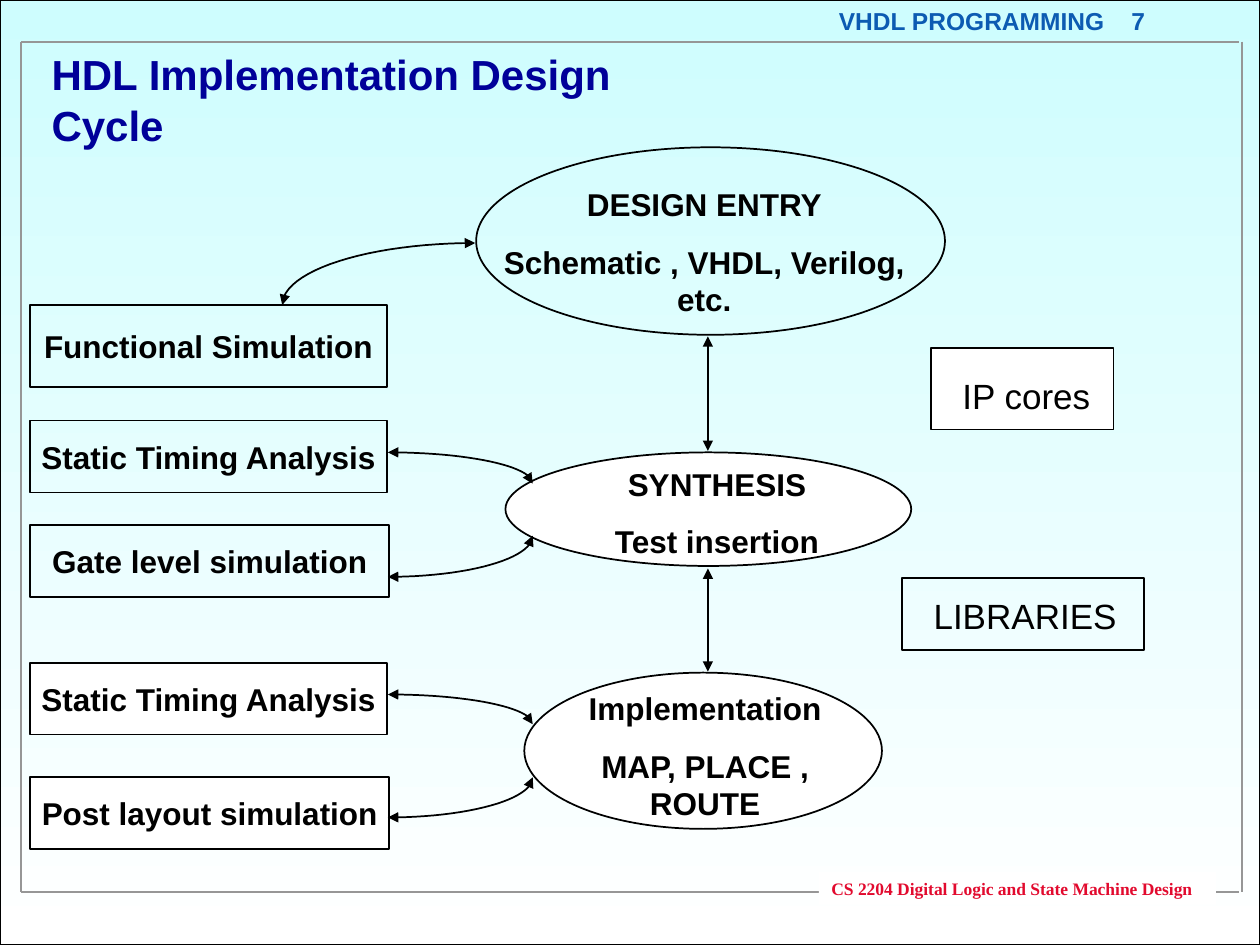
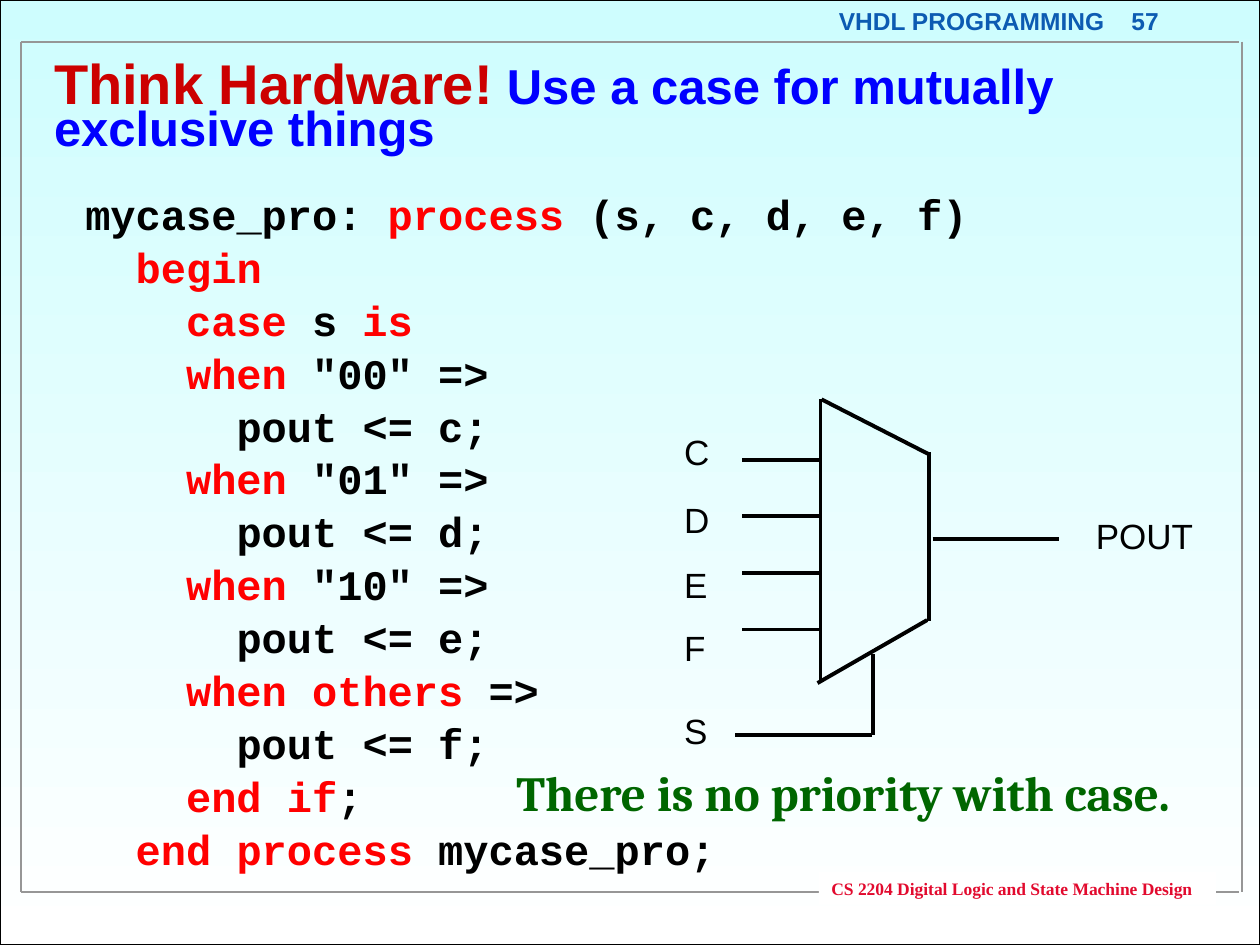
from math import cos, pi, sin

from lxml import etree
from pptx import Presentation
from pptx.dml.color import RGBColor
from pptx.enum.shapes import MSO_CONNECTOR, MSO_SHAPE
from pptx.enum.text import MSO_ANCHOR, PP_ALIGN
from pptx.oxml.ns import qn
from pptx.util import Cm, Pt

RECT, OVAL = MSO_SHAPE.RECTANGLE, MSO_SHAPE.OVAL
STRAIGHT = MSO_CONNECTOR.STRAIGHT
LEFT, CENTER = PP_ALIGN.LEFT, PP_ALIGN.CENTER
TOP, MIDDLE = MSO_ANCHOR.TOP, MSO_ANCHOR.MIDDLE

BLACK, WHITE, GREY = "000000", "FFFFFF", "969696"
SKY, STEEL, CRIMSON = "CEFDFE", "0C5BB2", "E20A2E"
NAVY, BLUE, BRICK = "000099", "0000FF", "CC0000"
RED, GREEN = "FF0000", "006600"

WIDTH, HEIGHT = 25.4, 19.05
STEPS = 24

CODE = """mycase_pro: |process| (s, c, d, e, f)
  |begin
    |case| s |is
    |when| "00" =>
      pout <= c;
    |when| "01" =>
      pout <= d;
    |when| "10" =>
      pout <= e;
    |when others| =>
      pout <= f;
    |end if|;
  |end process| mycase_pro;"""


def tint(code):
    return RGBColor.from_string(code)


def write(shape, text, size=18, font="Arial", color=BLACK, bold=True,
          align=LEFT, anchor=TOP, wrap=True, gap=0, pitch=None, tab=None,
          alt=None):
    """Fill a shape with text; pieces after each odd "|" take alt (size, color)."""
    frame = shape.text_frame
    frame.word_wrap = wrap
    frame.vertical_anchor = anchor
    styles = [(size, color), alt]
    for i, line in enumerate(text.split("\n")):
        para = frame.add_paragraph() if i else frame.paragraphs[0]
        para.alignment = align
        para.line_spacing = pitch
        if i and gap:
            para.space_before = Pt(gap)
        if tab:
            tabs = etree.SubElement(para._p.get_or_add_pPr(), qn("a:tabLst"))
            etree.SubElement(tabs, qn("a:tab"), pos=str(Cm(tab)), algn="l")
        for j, piece in enumerate(line.split("|")):
            if piece:
                run = para.add_run()
                run.text = piece
                points, shade = styles[j % 2]
                run.font.size = Pt(points)
                run.font.name = font
                run.font.bold = bold
                run.font.color.rgb = tint(shade)


def label(slide, text, x, y, w, h, **style):
    write(slide.shapes.add_textbox(Cm(x), Cm(y), Cm(w), Cm(h)), text, **style)


def shape(slide, kind, x, y, w, h, fill=None, line=BLACK):
    item = slide.shapes.add_shape(kind, Cm(x), Cm(y), Cm(w), Cm(h))
    item.shadow.inherit = False
    if fill:
        item.fill.solid()
        item.fill.fore_color.rgb = tint(fill)
    else:
        item.fill.background()
    if line:
        stroke(item, line)
    else:
        item.line.fill.background()
    return item


def stroke(item, color=BLACK, width=1, heads=False):
    item.line.color.rgb = tint(color)
    item.line.width = Pt(width)
    if heads:
        ln = item._element.spPr.find(qn("a:ln"))
        for end in ("a:headEnd", "a:tailEnd"):
            etree.SubElement(ln, qn(end), type="triangle")


def rule(slide, x1, y1, x2, y2, **style):
    line = slide.shapes.add_connector(STRAIGHT, Cm(x1), Cm(y1), Cm(x2), Cm(y2))
    stroke(line, **style)
    etree.SubElement(line._element.spPr, qn("a:effectLst"))


def curve(slide, x1, y1, x2, y2):
    """Quarter ellipse with two heads, level at the first end, upright at the second."""
    turns = [pi / 2 * i / STEPS for i in range(STEPS + 1)]
    points = [(Cm(x1 + (x2 - x1) * sin(t)), Cm(y2 + (y1 - y2) * cos(t)))
              for t in turns]
    pen = slide.shapes.build_freeform(*points[0])
    pen.add_line_segments(points[1:], close=False)
    arc = pen.convert_to_shape()
    arc.shadow.inherit = False
    arc.fill.background()
    stroke(arc, heads=True)


def base(deck, number):
    """Add a slide with the shared backdrop, border, header and footer."""
    slide = deck.slides.add_slide(deck.slide_layouts[6])
    back = shape(slide, RECT, 0, 0, WIDTH, HEIGHT)
    back.fill.gradient()
    back.fill.gradient_angle = 270
    for stop, color in zip(back.fill.gradient_stops, (SKY, WHITE)):
        stop.color.rgb = tint(color)
    for ends in ((0.43, 17.98, 24.97, 17.98), (0.43, 0.84, 0.43, 17.98),
                 (0.43, 0.84, 24.97, 0.84), (25.03, 0.84, 25.03, 17.98)):
        rule(slide, *ends, color=GREY)
    label(slide, f"VHDL PROGRAMMING\t{number}", 16.66, 0, 8.7, 0.84,
          size=14, color=STEEL, tab=5.9)
    foot = shape(slide, RECT, 16.51, 17.58, 8, 0.66, fill=WHITE, line=None)
    write(foot, "CS 2204 Digital Logic and State Machine Design",
          size=10, font="Times New Roman", color=CRIMSON)
    return slide


def cycle(deck):
    slide = base(deck, 7)
    label(slide, "HDL Implementation Design Cycle", 0.79, 0.86, 13.87, 2.29,
          size=24, color=NAVY)

    stages = (
        ("DESIGN ENTRY\nSchematic , VHDL, Verilog, etc.", None,
         (9.6, 2.97, 9.45, 3.78), (9.78, 3.61, 8.84, 2.92)),
        ("SYNTHESIS\nTest insertion", WHITE,
         (10.19, 9.12, 8.18, 2.29), (11.23, 9.25, 6.45, 2.16)),
        ("Implementation\nMAP, PLACE , ROUTE", WHITE,
         (10.57, 13.56, 7.21, 3.15), (10.8, 13.77, 6.83, 2.92)),
    )
    for text, fill, oval, area in stages:
        shape(slide, OVAL, *oval, fill=fill)
        label(slide, text, *area, align=CENTER, gap=11.2)

    checks = (
        ("Functional Simulation", 6.15, 7.19, 1.65, None),
        ("Static Timing Analysis", 8.48, 7.19, 1.45, None),
        ("Gate level simulation", 10.59, 7.24, 1.45, None),
        ("Static Timing Analysis", 13.36, 7.19, 1.45, WHITE),
        ("Post layout simulation", 15.67, 7.24, 1.45, WHITE),
    )
    for text, y, w, h, fill in checks:
        write(shape(slide, RECT, 0.61, y, w, h, fill=fill), text,
              align=CENTER, anchor=MIDDLE, wrap=False)

    inputs = (
        ("IP cores", WHITE, (18.77, 7.01, 3.68, 1.65), (19.15, 7.42, 3.51, 1.09)),
        ("LIBRARIES", None, (18.19, 11.66, 4.88, 1.45), (18.57, 11.86, 4.29, 1.09)),
    )
    for text, fill, frame, area in inputs:
        shape(slide, RECT, *frame, fill=fill)
        label(slide, text, *area, size=20, bold=False)

    for y1, y2 in ((6.78, 9.09), (11.46, 13.54)):
        rule(slide, 14.27, y1, 14.27, y2, heads=True)
    curve(slide, 9.58, 4.9, 5.69, 6.15)
    for y1, y2 in ((9.12, 9.75), (11.63, 10.8), (14, 14.6), (16.48, 15.67)):
        curve(slide, 7.82, y1, 10.74, y2)


def mux(slide):
    edges = [(16.54, 8.05, 16.54, 13.72), (16.56, 8.05, 18.75, 9.17),
             (16.48, 13.77, 18.69, 12.5), (18.72, 9.12, 18.72, 12.52)]
    pins = [(14.96, 9.27 + 1.14 * i, 16.51, 9.27 + 1.14 * i) for i in range(4)]
    wires = [(17.6, 13.18, 17.6, 14.81), (17.58, 14.81, 14.81, 14.81),
             (18.8, 10.87, 21.34, 10.87)]
    for ends in edges + pins + wires:
        rule(slide, *ends, width=2.25)
    names = [("C", 8.56), ("D", 9.93), ("E", 11.23), ("F", 12.5), ("S", 14.17)]
    for name, y in names:
        label(slide, name, 13.54, y, 1.2, 1.09, size=20, bold=False)
    label(slide, "POUT", 21.84, 10.24, 3, 1.09, size=20, bold=False)


def case(deck):
    slide = base(deck, 57)
    label(slide, "Think Hardware!| Use a case for mutually exclusive things",
          0.84, 1.5, 24.56, 1.47, size=32, color=BRICK, alt=(28, BLUE),
          anchor=MIDDLE, pitch=0.7)
    label(slide, CODE, 1.47, 4.24, 19, 12.88, size=24, font="Courier New",
          alt=(24, RED), anchor=MIDDLE, pitch=1.05)
    mux(slide)
    label(slide, "There is no priority with case.", 10.16, 15.24, 15.2, 2.97,
          size=28, font="Cambria", color=GREEN)


def main():
    deck = Presentation()
    deck.slide_width, deck.slide_height = Cm(WIDTH), Cm(HEIGHT)
    cycle(deck)
    case(deck)
    deck.save("out.pptx")


if __name__ == "__main__":
    main()
